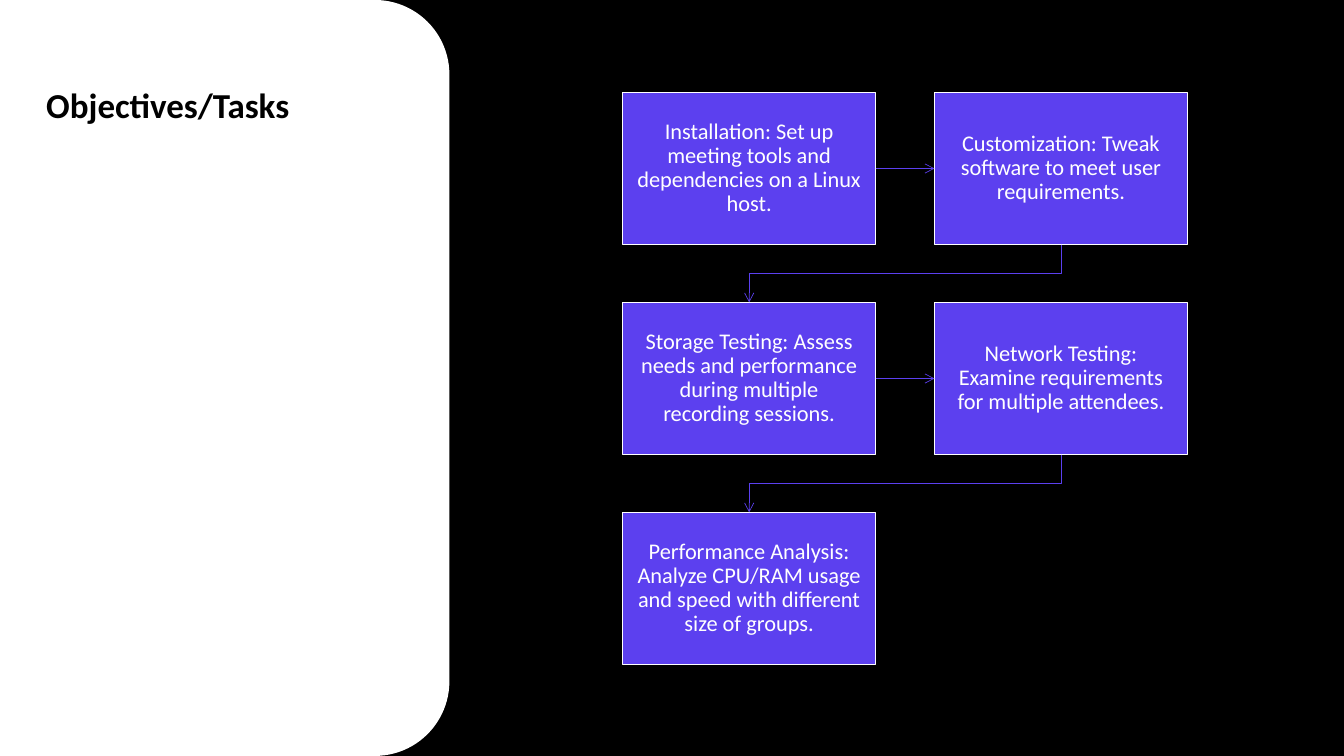
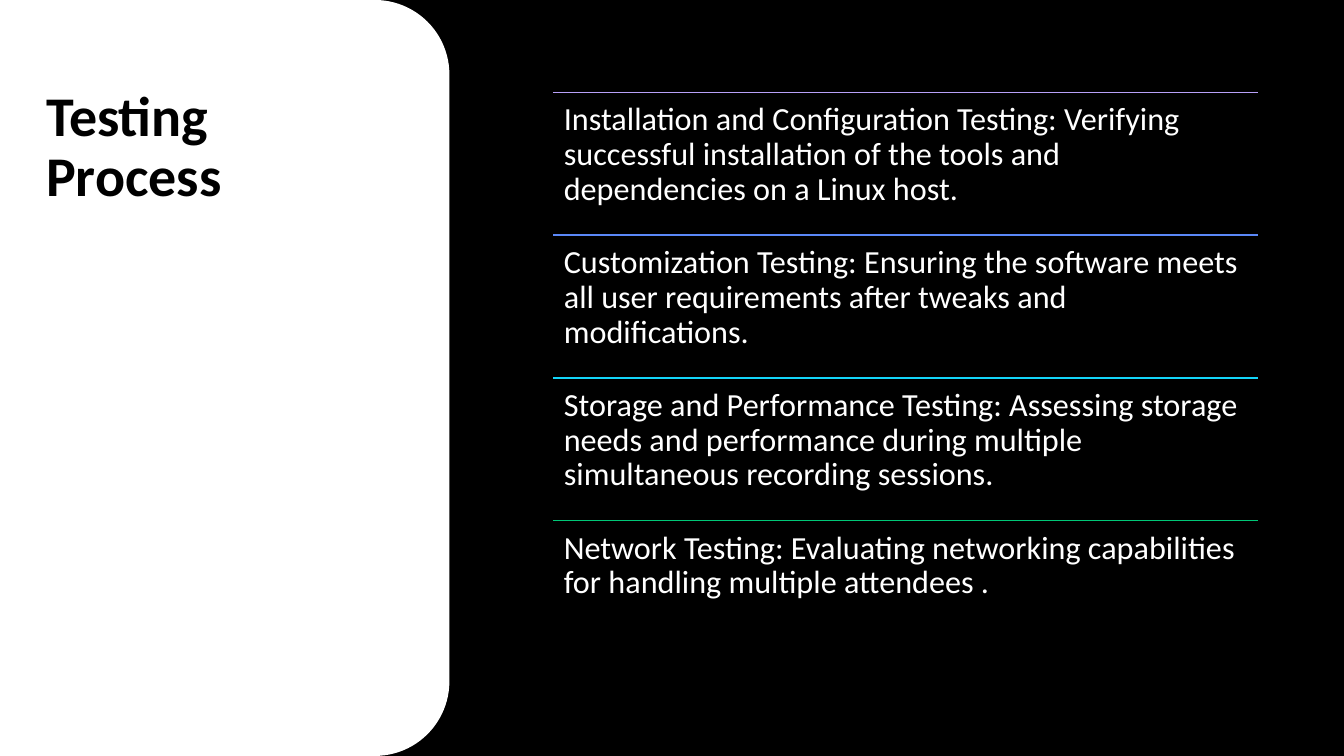
from lxml.etree import SubElement
from pptx import Presentation
from pptx.dml.color import RGBColor
from pptx.enum.shapes import MSO_CONNECTOR, MSO_SHAPE
from pptx.enum.text import MSO_ANCHOR, PP_ALIGN
from pptx.oxml.ns import qn
from pptx.util import Pt

PX = 9525  # EMU in one px; the slide is 1280 by 720 px
WIDE, HIGH = 1280, 720
FONT = "Calibri"
HUES = {
    "black": "000000", "white": "FFFFFF", "violet": "5C40EF",
    "lilac": "B8A0F8", "blue": "5B88F7", "cyan": "13D5F9", "green": "00C777",
}
PANEL, ROUND = 428, 71  # width and corner radius of the white panel
TOP = 88  # upper edge of the content on both slides

STEPS = [
    "Installation: Set up meeting tools and dependencies on a Linux host.",
    "Customization: Tweak software to meet user requirements.",
    "Storage Testing: Assess needs and performance during multiple "
    "recording sessions.",
    "Network Testing: Examine requirements for multiple attendees.",
    "Performance Analysis: Analyze CPU/RAM usage and speed with different "
    "size of groups.",
]
TESTS = [
    ("lilac", "Installation and Configuration Testing: Verifying successful "
     "installation of the tools and dependencies on a Linux host."),
    ("blue", "Customization Testing: Ensuring the software meets all user "
     "requirements after tweaks and modifications."),
    ("cyan", "Storage and Performance Testing: Assessing storage needs and "
     "performance during multiple simultaneous recording sessions."),
    ("green", "Network Testing: Evaluating networking capabilities for "
     "handling multiple attendees ."),
]


def hue(name):
    return RGBColor.from_string(HUES[name])


def emu(*nums):
    return [round(n * PX) for n in nums]


def write(shape, text, size, color="white", bold=False, align=PP_ALIGN.LEFT,
          anchor=MSO_ANCHOR.TOP, pad=(10, 10)):
    frame = shape.text_frame
    frame.word_wrap = True
    frame.vertical_anchor = anchor
    frame.margin_left = frame.margin_right = pad[0] * PX
    frame.margin_top = frame.margin_bottom = pad[1] * PX
    para = frame.paragraphs[0]
    para.alignment = align
    para.line_spacing = 0.9
    run = para.add_run()
    run.text = text
    font = run.font
    font.name, font.size, font.bold = FONT, Pt(size), bold
    font.color.rgb = hue(color)


def block(slide, kind, area, fill, edge=None):
    shape = slide.shapes.add_shape(kind, *emu(*area))
    shape.shadow.inherit = False
    shape.fill.solid()
    shape.fill.fore_color.rgb = hue(fill)
    if edge:
        shape.line.color.rgb = hue(edge)
        shape.line.width = Pt(1)
    else:
        shape.line.fill.background()
    return shape


def label(slide, area, text, size, **style):
    write(slide.shapes.add_textbox(*emu(*area)), text, size, **style)


def rule(slide, ends, color, width, kind=MSO_CONNECTOR.STRAIGHT, head=False):
    line = slide.shapes.add_connector(kind, *emu(*ends))
    line.line.color.rgb = hue(color)
    line.line.width = Pt(width)
    if head:
        SubElement(line.line._get_or_add_ln(), qn("a:tailEnd"), type="arrow")
    SubElement(line._element.spPr, qn("a:effectLst"))
    return line


def across(slide, left, right):
    """Straight arrow from the right side of one box to the next box."""
    line = rule(slide, (0, 0, 0, 0), "violet", 0.5, head=True)
    line.begin_connect(left, 3)
    line.end_connect(right, 1)


def down(slide, start, end):
    """Elbow arrow that leaves downwards, so it is laid out turned by 90°."""
    (x1, y1), (x2, y2) = start, end
    midx, midy = (x1 + x2) / 2, (y1 + y2) / 2
    halfx, halfy = (x1 - x2) / 2, (y2 - y1) / 2
    ends = midx - halfy, midy - halfx, midx + halfy, midy + halfx
    line = rule(slide, ends, "violet", 0.5, MSO_CONNECTOR.ELBOW, head=True)
    line._element.spPr.xfrm.set("rot", "5400000")


def base(deck, title, size):
    """Black slide with the rounded white panel and its title."""
    slide = deck.slides.add_slide(deck.slide_layouts[6])
    back = slide.background.fill
    back.solid()
    back.fore_color.rgb = hue("black")
    # A quarter turn puts the two round corners on the right
    area = (PANEL - HIGH) / 2, (HIGH - PANEL) / 2, HIGH, PANEL
    panel = block(slide, MSO_SHAPE.ROUND_2_SAME_RECTANGLE, area, "white")
    panel.adjustments[0] = ROUND / PANEL
    panel.rotation = 90
    label(slide, (34, 79, 339, 571), title, size, color="black", bold=True,
          pad=(10, 5))
    return slide


def flow(slide):
    """Boxes in two columns, read row by row along the arrows."""
    left, wide, high, stepx, stepy = 593, 241, 145, 297, 200
    boxes = []
    for i, text in enumerate(STEPS):
        row, col = divmod(i, 2)
        x, y = left + col * stepx, TOP + row * stepy
        box = block(slide, MSO_SHAPE.RECTANGLE, (x, y, wide, high),
                    "violet", "white")
        write(box, text, 16, align=PP_ALIGN.CENTER, anchor=MSO_ANCHOR.MIDDLE,
              pad=(12, 12))
        if col:
            across(slide, boxes[-1], box)
        elif row:
            mid = x + wide / 2
            down(slide, (mid + stepx, y - stepy + high), (mid, y))
        boxes.append(box)


def rows(slide):
    """Texts of equal height, each under a coloured line."""
    left, wide, high = 527, 671, 136
    for i, (color, text) in enumerate(TESTS):
        y = TOP + i * high
        rule(slide, (left, y, left + wide, y), color, 1)
        label(slide, (left, y, wide, high), text, 23)


def main():
    deck = Presentation()
    deck.slide_width, deck.slide_height = emu(WIDE, HIGH)
    flow(base(deck, "Objectives/Tasks", 25))
    rows(base(deck, "Testing Process", 40))
    deck.save("out.pptx")


if __name__ == "__main__":
    main()
